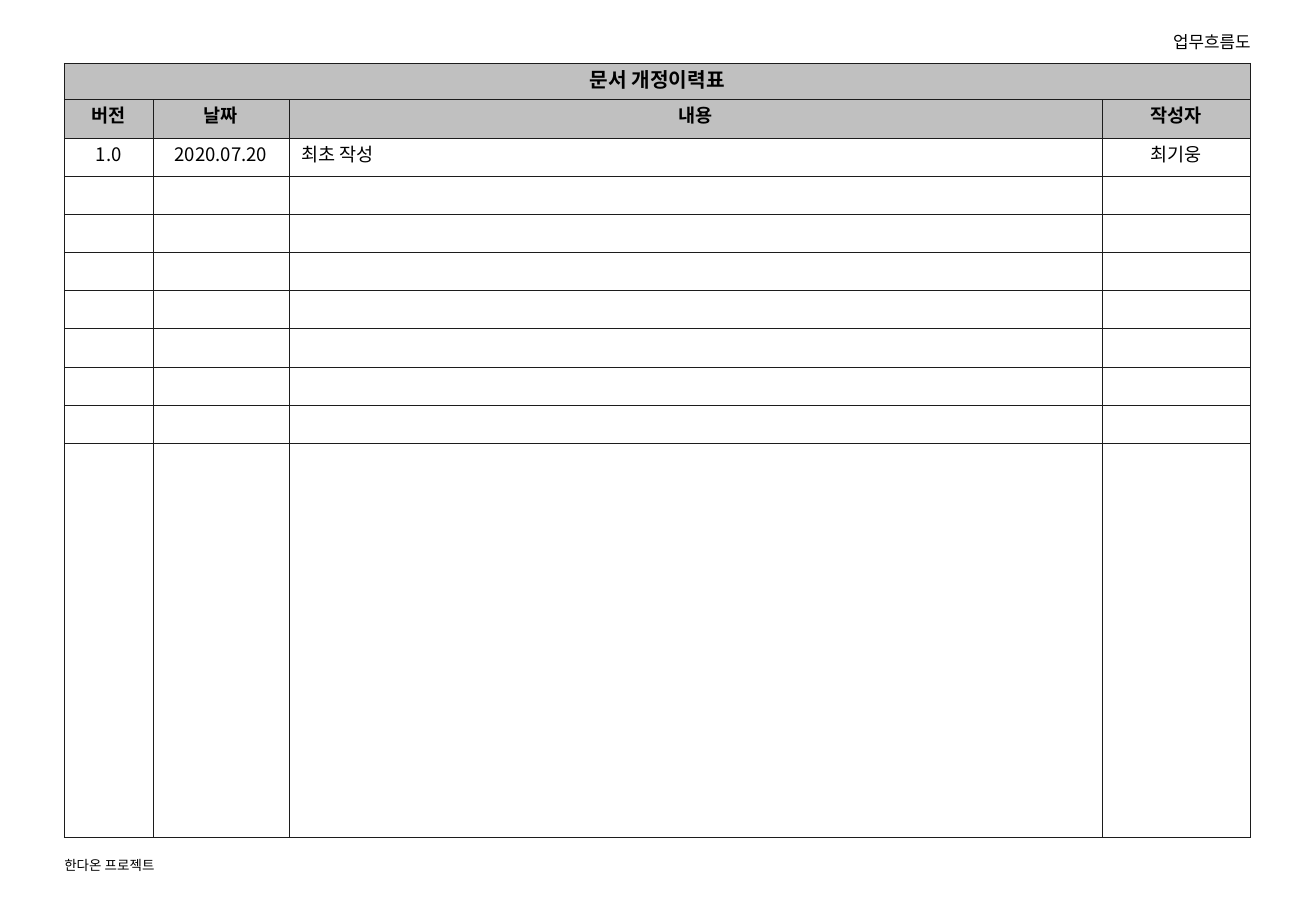
from dataclasses import dataclass

from lxml import etree
from pptx import Presentation
from pptx import util as u
from pptx.dml import color
from pptx.enum import text
from pptx.oxml import ns

# The slide is a fine grid of square units, 100 to the inch.
GRID_COLUMNS, GRID_ROWS = 1084, 750
LEFT, RIGHT = 53, 1030
TABLE_TOP, TABLE_HEIGHT = 52, 638
TITLE_ROW, HEADING_ROW, LAST_ROW = 30, 32, 325
BODY_ROWS = 8


@dataclass(frozen=True)
class Theme:
    font: str = "Noto Sans CJK KR"
    ink: str = "000000"
    border: str = "1C1C1C"
    header_fill: str = "C0C0C0"
    border_width: float = 0.45
    title_size: int = 12
    cell_size: int = 11
    label_size: int = 10
    footer_size: int = 8


@dataclass(frozen=True)
class Column:
    heading: str
    width: int
    entry: str
    align: text.PP_ALIGN = text.PP_ALIGN.CENTER


@dataclass(frozen=True)
class Label:
    wording: str
    left: int
    top: int
    width: int
    height: int
    size: int
    align: text.PP_ALIGN


THEME = Theme()
TITLE = "문서 개정이력표"
COLUMNS = [
    Column("버전", 73, "1.0"),
    Column("날짜", 112, "2020.07.20"),
    Column("내용", 670, "최초 작성", text.PP_ALIGN.LEFT),
    Column("작성자", 122, "최기웅"),
]
LABELS = [
    Label("한다온 프로젝트", LEFT, 706, 355, 13, THEME.footer_size, text.PP_ALIGN.LEFT),
    Label("업무흐름도", RIGHT - 319, 26, 319, 17, THEME.label_size, text.PP_ALIGN.RIGHT),
]


def units(count: float) -> int:
    return u.Inches(count / 100)


def write(frame, wording: str, *, size: float, align=text.PP_ALIGN.LEFT,
          bold: bool = False, space_before: float = 0) -> None:
    para = frame.paragraphs[0]
    para.alignment = align
    para.space_before = u.Pt(space_before)
    if not wording:
        etree.SubElement(para._p, ns.qn("a:endParaRPr"), sz=str(size * 100))
        return
    span = para.add_run()
    span.text = wording
    span.font.size = u.Pt(size)
    span.font.bold = bold
    span.font.name = THEME.font
    span.font.color.rgb = color.RGBColor.from_string(THEME.ink)
    etree.SubElement(span.font._element, ns.qn("a:ea"), typeface=THEME.font)


def add_borders(cell) -> None:
    properties = cell._tc.get_or_add_tcPr()
    for side in ("lnL", "lnR", "lnT", "lnB"):
        line = etree.SubElement(properties, ns.qn(f"a:{side}"),
                                w=str(u.Pt(THEME.border_width)))
        fill = etree.SubElement(line, ns.qn("a:solidFill"))
        etree.SubElement(fill, ns.qn("a:srgbClr"), val=THEME.border)


def style_cell(cell, shaded: bool) -> None:
    cell.margin_top, cell.margin_bottom = units(1), 0
    cell.vertical_anchor = text.MSO_ANCHOR.TOP
    add_borders(cell)
    if shaded:
        cell.fill.solid()
        cell.fill.fore_color.rgb = color.RGBColor.from_string(THEME.header_fill)
    else:
        cell.fill.background()


def add_history_table(page) -> None:
    body_row = (TABLE_HEIGHT - TITLE_ROW - HEADING_ROW - LAST_ROW) / BODY_ROWS
    heights = [TITLE_ROW, HEADING_ROW, *[body_row] * BODY_ROWS, LAST_ROW]
    table = page.shapes.add_table(
        len(heights), len(COLUMNS), units(LEFT), units(TABLE_TOP),
        units(RIGHT - LEFT), units(TABLE_HEIGHT)).table
    table.first_row = table.horz_banding = False
    for row, height in zip(table.rows, heights):
        row.height = units(height)

    for index, column in enumerate(COLUMNS):
        table.columns[index].width = units(column.width)
        for number in range(len(heights)):
            cell = table.cell(number, index)
            style_cell(cell, shaded=number < 2)
            if number == 0:
                write(cell.text_frame, TITLE if index == 0 else "",
                      size=THEME.title_size, align=text.PP_ALIGN.CENTER,
                      bold=True, space_before=3)
            else:
                wording = {1: column.heading, 2: column.entry}.get(number, "")
                align = text.PP_ALIGN.CENTER if number == 1 else column.align
                write(cell.text_frame, wording, size=THEME.cell_size,
                      align=align, bold=number == 1, space_before=2.8)
    table.cell(0, 0).merge(table.cell(0, len(COLUMNS) - 1))


def add_label(page, label: Label) -> None:
    box = page.shapes.add_textbox(units(label.left), units(label.top),
                                  units(label.width), units(label.height))
    frame = box.text_frame
    frame.word_wrap = True
    frame.vertical_anchor = text.MSO_ANCHOR.MIDDLE
    frame.margin_left = frame.margin_right = 0
    frame.margin_top = frame.margin_bottom = 0
    write(frame, label.wording, size=label.size, align=label.align)


def main() -> None:
    deck = Presentation()
    deck.slide_width, deck.slide_height = units(GRID_COLUMNS), units(GRID_ROWS)
    page = deck.slides.add_slide(deck.slide_layouts[6])
    add_history_table(page)
    for label in LABELS:
        add_label(page, label)
    deck.save("out.pptx")


if __name__ == "__main__":
    main()
